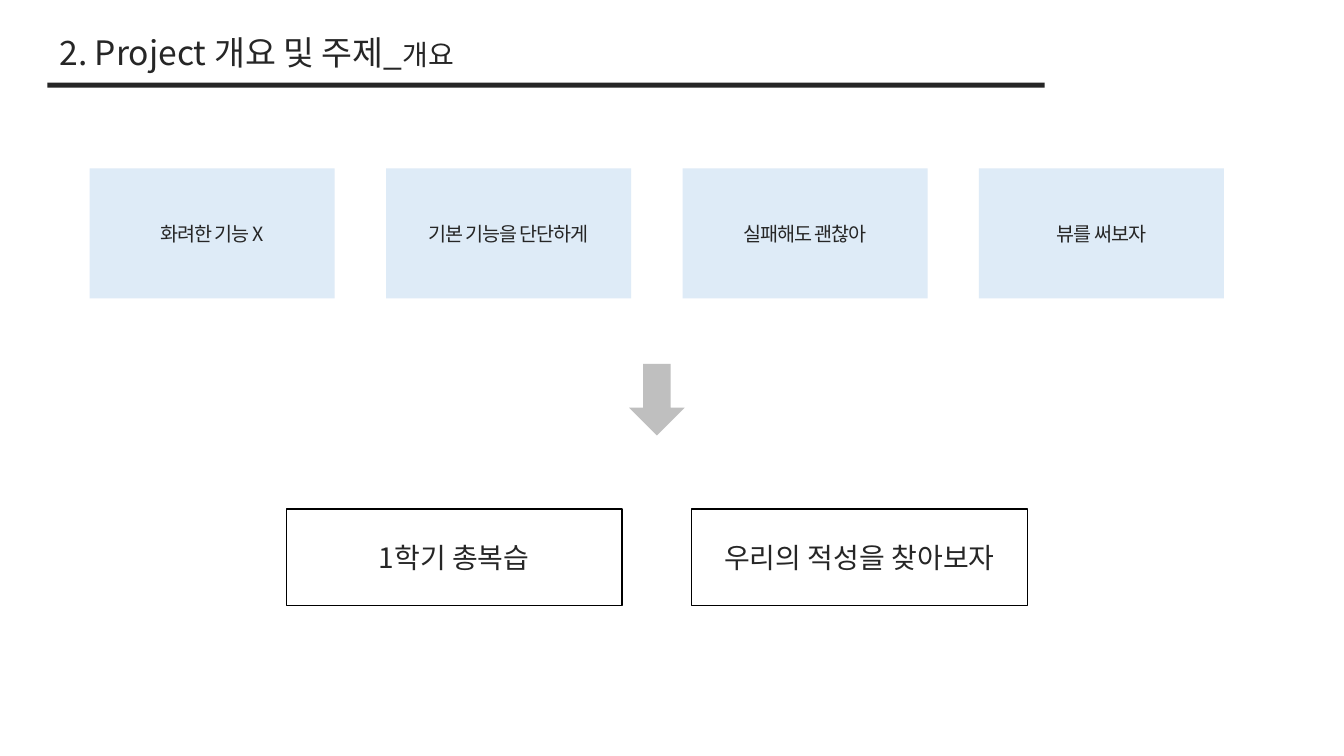
from pptx import Presentation
from pptx.dml.color import RGBColor
from pptx.enum.shapes import MSO_SHAPE
from pptx.enum.text import MSO_ANCHOR, MSO_AUTO_SIZE, PP_ALIGN
from pptx.oxml.ns import qn
from pptx.util import Inches, Pt
from lxml import etree

RECT, DOWN = MSO_SHAPE.RECTANGLE, MSO_SHAPE.DOWN_ARROW
LEFT, CENTER = PP_ALIGN.LEFT, PP_ALIGN.CENTER
MIDDLE, FIXED = MSO_ANCHOR.MIDDLE, MSO_AUTO_SIZE.NONE

TITLE = [("2. Project 개요 및 주제_", 24), ("개요", 20)]
IDEAS = ["화려한 기능 X", "기본 기능을 단단하게", "실패해도 괜찮아", "뷰를 써보자"]
GOALS = ["1학기 총복습", "우리의 적성을 찾아보자"]
FONT = "Noto Sans CJK KR"
COLORS = {"ink": "262626", "idea": "DEEBF7", "arrow": "BFBFBF", "edge": "000000"}


def color(name):
    return RGBColor.from_string(COLORS[name])


def write(shape, runs, align=CENTER, lead=None, track=None):
    frame = shape.text_frame
    frame.word_wrap = True
    frame.auto_size = FIXED
    frame.vertical_anchor = MIDDLE
    para = frame.paragraphs[0]
    para.alignment = align
    para.line_spacing = lead
    for text, size in runs:
        run = para.add_run()
        run.text = text
        run.font.size = Pt(size)
        run.font.name = FONT
        run.font.color.rgb = color("ink")
        props = run.font._element
        etree.SubElement(props, qn("a:ea")).set("typeface", FONT)
        if track:
            props.set("spc", str(round(track * 100)))


def draw(slide, kind, box, fill=None, edge=None):
    shape = slide.shapes.add_shape(kind, *map(Inches, box))
    shape.shadow.inherit = False
    if fill:
        shape.fill.solid()
        shape.fill.fore_color.rgb = color(fill)
    else:
        shape.fill.background()
    if edge:
        shape.line.color.rgb = color(edge)
        shape.line.width = Pt(1)
    else:
        shape.line.fill.background()
    return shape


def main():
    deck = Presentation()
    deck.slide_width, deck.slide_height = Inches(13.33), Inches(7.5)
    slide = deck.slides.add_slide(deck.slide_layouts[5])

    draw(slide, RECT, (0.47, 0.82, 9.89, 0.05), fill="ink")
    title = slide.shapes.title
    title.left, title.top = Inches(0.49), Inches(-0.06)
    title.width, title.height = Inches(8.17), Inches(0.96)
    write(title, TITLE, align=LEFT, lead=1.5)

    for i, text in enumerate(IDEAS):
        idea = draw(slide, RECT, (0.89 + 2.94 * i, 1.67, 2.43, 1.29), fill="idea")
        write(idea, [(text, 14)], track=-0.8)

    draw(slide, DOWN, (6.24, 3.61, 0.55, 0.71), fill="arrow")

    for i, text in enumerate(GOALS):
        goal = draw(slide, RECT, (2.84 + 4.02 * i, 5.05, 3.33, 0.96), edge="edge")
        write(goal, [(text, 20)])

    deck.save("out.pptx")


if __name__ == "__main__":
    main()
